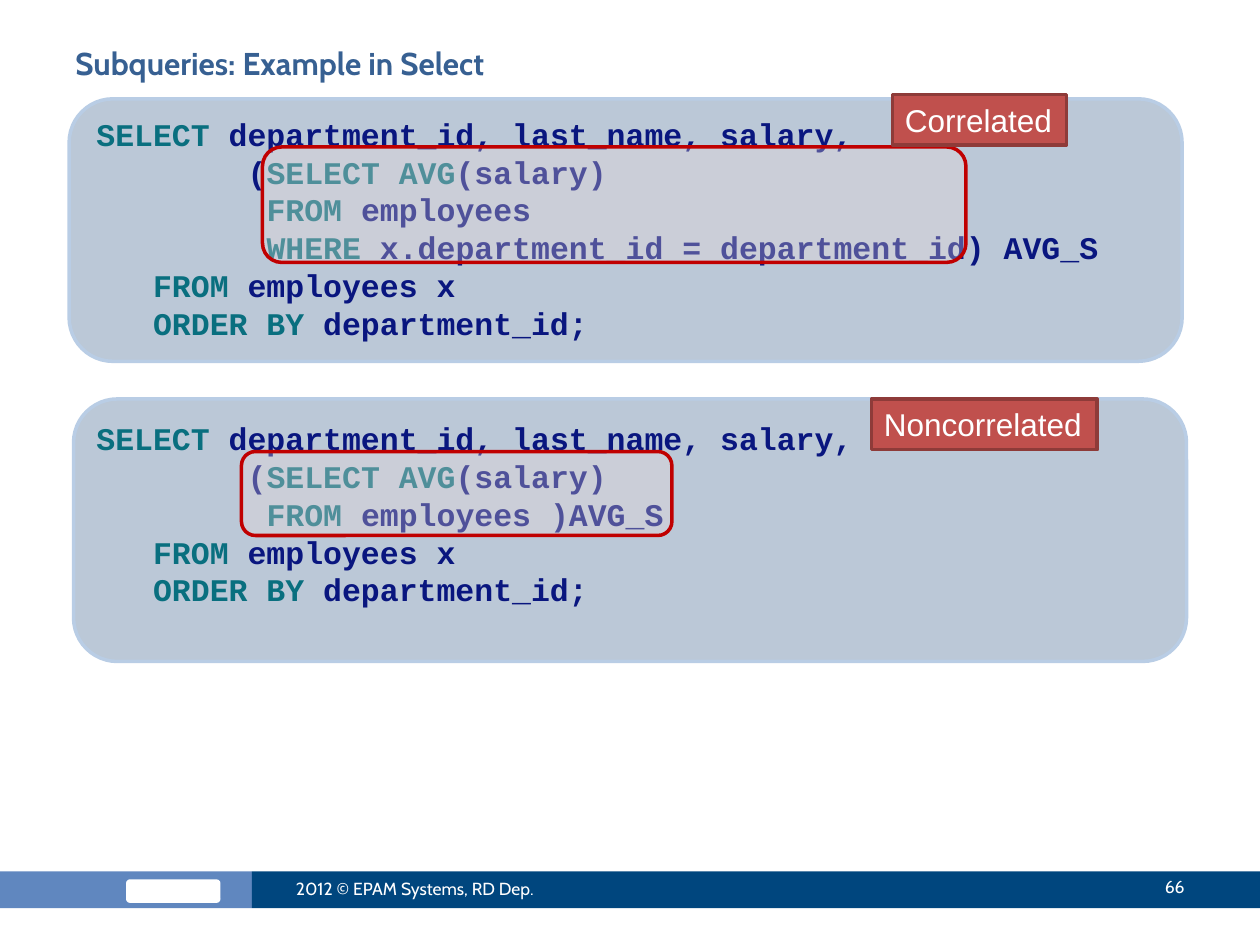
from lxml import etree
from pptx import Presentation
from pptx.dml.color import RGBColor
from pptx.enum.shapes import MSO_SHAPE
from pptx.enum.text import MSO_ANCHOR, PP_ALIGN
from pptx.oxml.ns import qn
from pptx.util import Pt

RECT, ROUND = MSO_SHAPE.RECTANGLE, MSO_SHAPE.ROUNDED_RECTANGLE
TOP, MIDDLE = MSO_ANCHOR.TOP, MSO_ANCHOR.MIDDLE
LEFT, RIGHT = PP_ALIGN.LEFT, PP_ALIGN.RIGHT

COLORS = {
    "title": "376092", "white": "FFFFFF",
    "bar": "00467E", "brand": "6087BF",
    "keyword": "008080", "code": "000080",
    "panel": "1F497D", "panel_line": "B9CDE5",
    "mark": "F2DCDB", "mark_line": "C00000",
    "label": "C0504D", "label_line": "8E3B39",
}
FORMATS = {
    "title": {"name": "Cabin", "size": Pt(18), "bold": True},
    "footer": {"name": "Cabin", "size": Pt(10)},
    "code": {"name": "Courier New", "size": Pt(18), "bold": True},
    "label": {"name": "Arial", "size": Pt(18)},
}

# Keywords stand between bars.
CORRELATED = [
    "|SELECT| department_id, last_name, salary,",
    "        (|SELECT| |AVG|(salary)",
    "         |FROM| employees",
    "         |WHERE| x.department_id = department_id) AVG_S",
    "   |FROM| employees x",
    "   |ORDER| |BY| department_id;",
]
NONCORRELATED = [
    *CORRELATED[:2],
    "         |FROM| employees )AVG_S",
    *CORRELATED[4:],
]


def rgb(name):
    return RGBColor.from_string(COLORS[name])


class Deck:
    def __init__(self, width, height):
        self.prs = Presentation()
        self.prs.slide_width, self.prs.slide_height = Pt(width), Pt(height)
        self.s = self.prs.slides.add_slide(self.prs.slide_layouts[6])

    def run(self, p, text, style, color):
        r = p.add_run()
        r.text = text
        for key, value in FORMATS[style].items():
            setattr(r.font, key, value)
        r.font.color.rgb = rgb(color)

    def shape(self, kind, box, fill, line=None, alpha=None):
        """Add a filled preset shape; alpha is the opacity in percent."""
        sp = self.s.shapes.add_shape(kind, *map(Pt, box))
        sp.shadow.inherit = False
        sp.fill.solid()
        sp.fill.fore_color.rgb = rgb(fill)
        if alpha is not None:
            clr = sp.fill._xPr.find(".//" + qn("a:srgbClr"))
            etree.SubElement(clr, qn("a:alpha"), val=str(alpha * 1000))
        if line:
            sp.line.color.rgb = rgb(line)
            sp.line.width = Pt(2)
        else:
            sp.line.fill.background()
        return sp

    def text(self, box, text, style, color, anchor=MIDDLE, align=LEFT):
        tf = self.s.shapes.add_textbox(*map(Pt, box)).text_frame
        tf.word_wrap = True
        tf.vertical_anchor = anchor
        tf.paragraphs[0].alignment = align
        self.run(tf.paragraphs[0], text, style, color)

    def code(self, box, lines):
        tf = self.s.shapes.add_textbox(*map(Pt, box)).text_frame
        tf.word_wrap = True
        tf.margin_top = Pt(5.6)
        for i, line in enumerate(lines):
            p = tf.add_paragraph() if i else tf.paragraphs[0]
            p.line_spacing = Pt(21.6)
            for j, part in enumerate(line.split("|")):
                if part:
                    self.run(p, part, "code", "keyword" if j % 2 else "code")

    def label(self, box, text):
        tf = self.shape(RECT, box, "label", "label_line").text_frame
        tf.word_wrap = False
        tf.vertical_anchor = TOP
        tf.paragraphs[0].alignment = LEFT
        self.run(tf.paragraphs[0], text, "label", "white")

    def example(self, lines, code_box, panel_box, mark_box, label_box, name):
        """Add a query under a tinted panel, with its subquery marked."""
        self.code(code_box, lines)
        self.shape(ROUND, panel_box, "panel", "panel_line", 30)
        self.shape(ROUND, mark_box, "mark", "mark_line", 30)
        self.label(label_box, name)


def main():
    deck = Deck(720, 540)
    deck.shape(RECT, (0, 498, 144, 21), "brand")
    deck.shape(ROUND, (72, 502.5, 54, 13.5), "white")
    deck.shape(RECT, (144, 498, 576, 21), "bar")
    deck.text((36, 21.6, 648, 56), "Subqueries: Example in Select",
              "title", "title", TOP)
    deck.text((162, 493.2, 192, 29), "2012 © EPAM Systems, RD Dep.",
              "footer", "white")
    deck.text((606, 492, 78, 29), "66", "footer", "white", align=RIGHT)
    deck.example(CORRELATED, (48, 60, 630, 138), (39.5, 56.5, 636, 150),
                 (150, 84, 402, 66), (510, 54, 99.5, 29), "Correlated")
    deck.example(NONCORRELATED, (48, 234, 630, 117), (42, 228, 636, 150),
                 (138, 258, 246, 48), (498, 228, 129, 29), "Noncorrelated")
    deck.prs.save("out.pptx")


if __name__ == "__main__":
    main()
